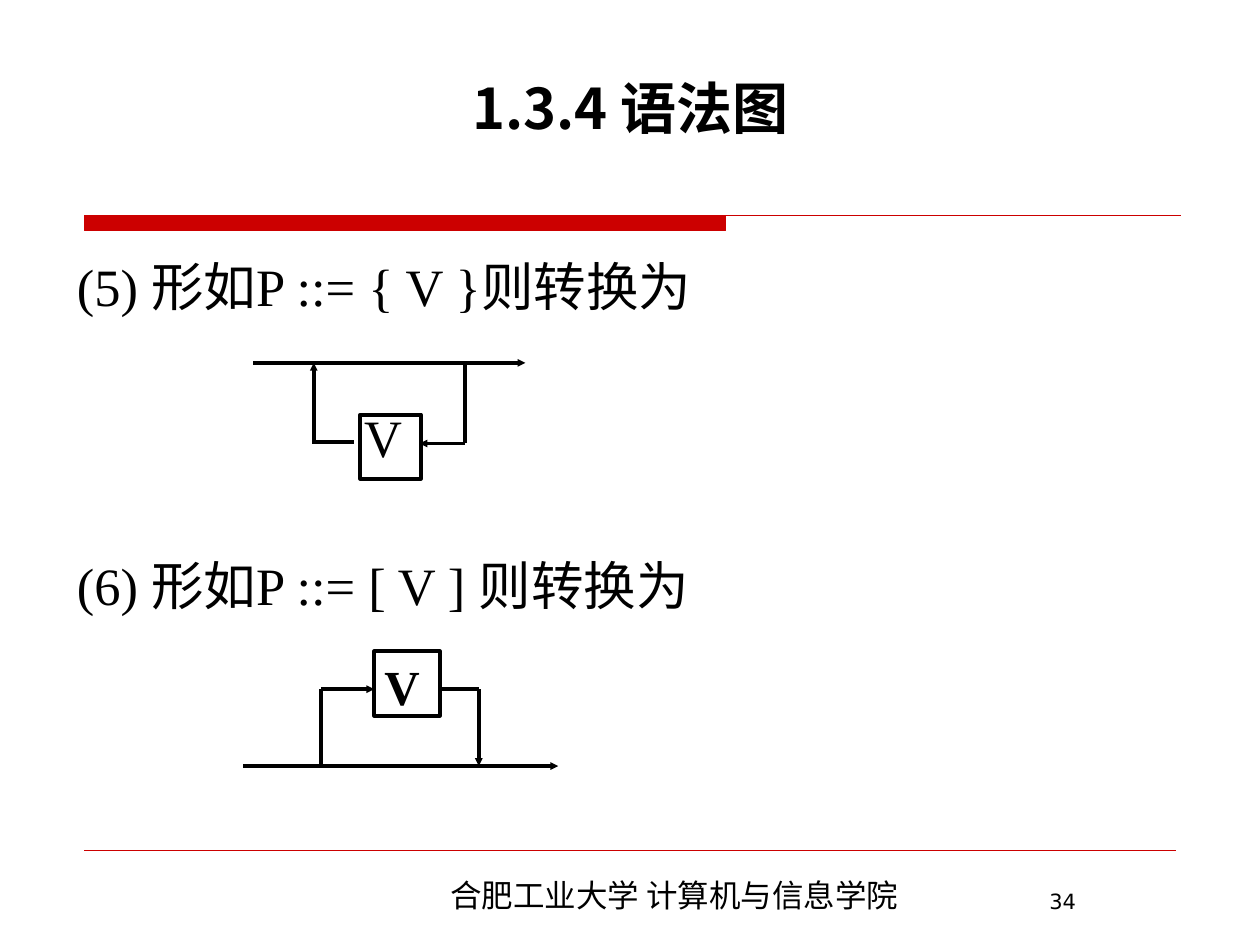
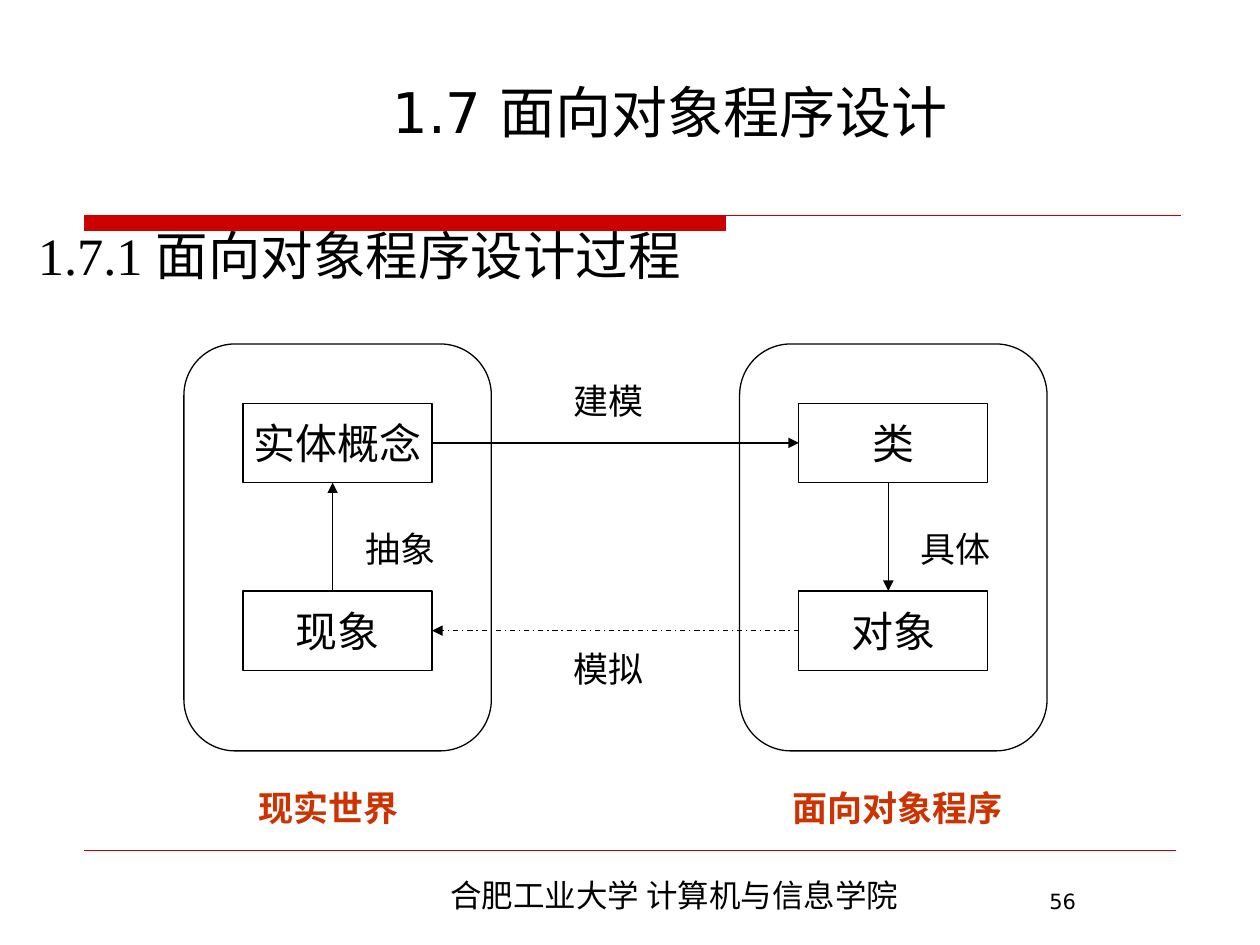
"""Build two lecture slides: syntax diagrams and the object-oriented process."""
from lxml.etree import SubElement
from pptx import Presentation
from pptx.dml.color import RGBColor
from pptx.enum.dml import MSO_LINE
from pptx.enum.shapes import MSO_CONNECTOR, MSO_SHAPE
from pptx.enum.text import MSO_ANCHOR, MSO_AUTO_SIZE, PP_ALIGN
from pptx.oxml.ns import qn
from pptx.util import Inches, Pt

BLACK = RGBColor(0, 0, 0)
WHITE = RGBColor(255, 255, 255)
RED = RGBColor(0xCC, 0, 0)
RUST = RGBColor(0xCC, 0x33, 0)

HAN, SANS, SERIF, PLAIN = "Noto Sans CJK SC", "DejaVu Sans", "Times New Roman", "Roboto"
LEFT, MID = PP_ALIGN.LEFT, PP_ALIGN.CENTER

SCHOOL = "合肥工业大学 计算机与信息学院"
RULES = [
    dict(runs=[("(5) ", SERIF), ("形如", HAN), ("P ::= { V }", SERIF), ("则转换为", HAN)]),
    dict(runs=[("V", SERIF)], gap=54, pad=2.28, hang=0),
    dict(runs=[("(6) ", SERIF), ("形如", HAN), ("P ::= [ V ] ", SERIF), ("则转换为", HAN)], gap=52),
]
PARTS = [dict(runs=[("1.7.1 面向对象程序设计过程", SERIF)])]

LOOP = [
    ((2.01, 2.88), (4.17, 2.88), True),
    ((3.69, 3.52), (3.33, 3.52), True),
    ((3.69, 2.88), (3.69, 3.52), False),
    ((2.49, 3.51), (2.49, 2.88), True),
    ((2.48, 3.51), (2.81, 3.51), False),
]
SKIP = [
    ((1.93, 6.08), (4.43, 6.08), True),
    ((3.49, 5.47), (3.8, 5.47), False),
    ((2.55, 5.47), (2.55, 6.08), False),
    ((2.55, 5.47), (2.97, 5.47), True),
    ((3.8, 5.47), (3.8, 6.08), True),
]

WORLDS = [
    dict(name="现实世界", top="实体概念", low="现象", step="抽象", up=True, cap=(1.95, 1.31)),
    dict(name="面向对象程序", top="类", low="对象", step="具体", up=False, cap=(6.19, 1.87)),
]
LINKS = [("建模", 2.96), ("模拟", 5.09)]
FRAME, PITCH = (1.46, 2.73, 2.44, 3.23), 4.41
CELL, ROWS = (1.5, 0.63), (3.2, 4.69)


def put(item, **vals):
    for key, val in vals.items():
        setattr(item, key, val)


def area(box):
    return [Inches(val) for val in box]


def style(font, face, size, color=BLACK, bold=False, east=None):
    put(font, size=Pt(size), bold=bold, name=face)
    font.color.rgb = color
    return east or face


def write(para, text, face, size, color=BLACK, bold=False, east=None):
    run = para.add_run()
    run.text = text
    east = style(run.font, face, size, color, bold, east)
    SubElement(run.font._element, qn("a:ea"), typeface=east)


def setup(frame, ins=(0.1, 0.05), wrap=True, anchor=MSO_ANCHOR.TOP):
    side, rim = area(ins)
    put(frame, auto_size=MSO_AUTO_SIZE.NONE, word_wrap=wrap, vertical_anchor=anchor,
        margin_left=side, margin_right=side, margin_top=rim, margin_bottom=rim)


def label(slide, box, text, face, size, align=LEFT, space=1.0, wrap=True, **look):
    frame = slide.shapes.add_textbox(*area(box)).text_frame
    setup(frame, wrap=wrap)
    para = frame.paragraphs[0]
    put(para, alignment=align, line_spacing=space)
    write(para, text, face, size, **look)


def block(slide, box, width, kind=MSO_SHAPE.RECTANGLE, fill=None):
    shape = slide.shapes.add_shape(kind, *area(box))
    shape.shadow.inherit = False
    if fill is None:
        shape.fill.background()
    else:
        shape.fill.solid()
        shape.fill.fore_color.rgb = fill
    shape.line.color.rgb = BLACK
    shape.line.width = Pt(width)
    return shape


def wire(slide, start, end, width, color=BLACK, head=None, dash=None):
    link = slide.shapes.add_connector(MSO_CONNECTOR.STRAIGHT, *area(start + end))
    link.line.color.rgb = color
    put(link.line, width=Pt(width), dash_style=dash)
    if head:
        SubElement(link.line._get_or_add_ln(), qn("a:tailEnd"), type="triangle", w=head, len=head)
    SubElement(link._element.spPr, qn("a:effectLst"))
    return link


def bar(slide):
    left, mid, right, top, low = area((0.67, 5.76, 9.37, 1.71, 1.83))
    pen = slide.shapes.build_freeform(left, top)
    pen.add_line_segments([(mid, top), (mid, low), (left, low)], close=True)
    pen.move_to(left, top)
    pen.add_line_segments([(right, top)], close=False)
    shape = pen.convert_to_shape()
    shape.shadow.inherit = False
    shape.fill.solid()
    shape.fill.fore_color.rgb = RED
    shape.line.color.rgb = RED
    shape.line.width = Pt(0.75)


def place(holder, box):
    left, top, width, height = area(box)
    put(holder, left=left, top=top, width=width, height=height)
    return holder.text_frame


def page(deck, num, title, spot, face, bold, rim, body, room):
    slide = deck.slides.add_slide(deck.slide_layouts[1])
    bar(slide)
    wire(slide, (0.67, 6.75), (9.33, 6.75), 0.25, RED)
    label(slide, (2.32, 6.9, 6.06, 0.4), SCHOOL, HAN, 18, MID)
    label(slide, (8.23, 7, 1.5, 0.29), str(num), SANS, 12)

    frame = place(slide.shapes.title, spot)
    setup(frame, anchor=MSO_ANCHOR.BOTTOM)
    put(frame, margin_top=0, margin_bottom=Inches(rim))
    frame.paragraphs[0].alignment = MID
    write(frame.paragraphs[0], title, face, 32, bold=bold)

    frame = place(slide.placeholders[1], room)
    setup(frame)
    for idx, line in enumerate(body):
        para = frame.add_paragraph() if idx else frame.paragraphs[0]
        put(para, alignment=LEFT, line_spacing=0.9, space_before=Pt(line.get("gap", 0)))
        prop = para._p.get_or_add_pPr()
        prop.set("marL", str(Inches(line.get("pad", 0.51))))
        prop.set("indent", str(Inches(line.get("hang", -0.51))))
        SubElement(prop, qn("a:buNone"))
        for text, font in line["runs"]:
            write(para, text, font, 30, east=HAN)
    return slide


def syntax(deck):
    slide = page(deck, 34, "1.3.4 语法图", (0.63, 0.6, 8.75, 1.06), HAN, True, 0.54,
                 RULES, (0.51, 2.02, 9.28, 4.69))
    block(slide, (2.86, 3.29, 0.48, 0.51), 2.25)
    for start, end, tip in LOOP + SKIP:
        wire(slide, start, end, 2.25, head="sm" if tip else None)
    shape = block(slide, (2.97, 5.17, 0.52, 0.51), 2.25, fill=WHITE)
    setup(shape.text_frame, (0.08, 0.04))
    para = shape.text_frame.paragraphs[0]
    para.alignment = LEFT
    write(para, "V", SERIF, 28, bold=True)


def process(deck):
    slide = page(deck, 56, "1.7 面向对象程序设计", (1.06, 0.36, 8.52, 0.84), SANS, False, 0.05,
                 PARTS, (0.2, 1.78, 9.6, 5.51))
    left, top, width, height = FRAME
    cells = []
    for col, world in enumerate(WORLDS):
        edge = left + col * PITCH
        block(slide, (edge, top, width, height), 0.75, MSO_SHAPE.FLOWCHART_ALTERNATE_PROCESS)
        pair = []
        for row, text in zip(ROWS, (world["top"], world["low"])):
            cell = block(slide, (edge + (width - CELL[0]) / 2, row, *CELL), 0.75)
            setup(cell.text_frame, wrap=False, anchor=MSO_ANCHOR.MIDDLE)
            para = cell.text_frame.paragraphs[0]
            para.alignment = MID
            write(para, text, PLAIN, 24)
            pair.append(cell)
        cells.append(pair)
        ends = [(edge + 1.18, ROWS[0] + CELL[1]), (edge + 1.18, ROWS[1])]
        start, end = reversed(ends) if world["up"] else ends
        wire(slide, start, end, 0.75, head="med")
        label(slide, (edge + 1.34, 4.14, 0.87, 0.44), world["step"], PLAIN, 20)
        spot, size = world["cap"]
        label(slide, (spot, 6.03, size, 0.6), world["name"], SERIF, 20, MID, 1.5, False,
              color=RUST, bold=True, east=PLAIN)

    (idea, fact), (kind, thing) = cells
    for first, site, last, goal, dash in ((idea, 3, kind, 1, None),
                                          (thing, 1, fact, 3, MSO_LINE.DASH_DOT)):
        link = wire(slide, (0, 0), (1, 1), 0.75, head="med", dash=dash)
        link.begin_connect(first, site)
        link.end_connect(last, goal)
    for text, high in LINKS:
        label(slide, (4.45, high, 0.87, 0.44), text, PLAIN, 20)


def main():
    deck = Presentation()
    put(deck, slide_width=Inches(10), slide_height=Inches(7.5))
    syntax(deck)
    process(deck)
    deck.save("out.pptx")


if __name__ == "__main__":
    main()
